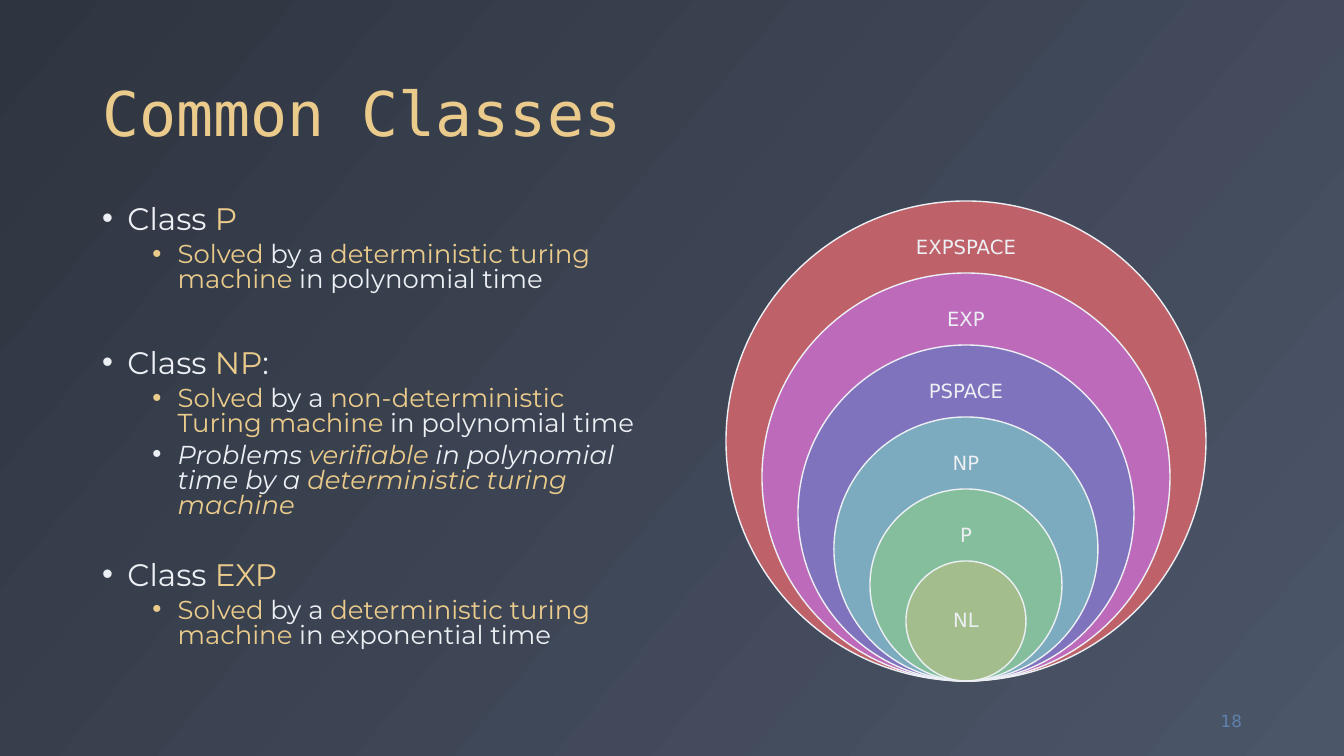
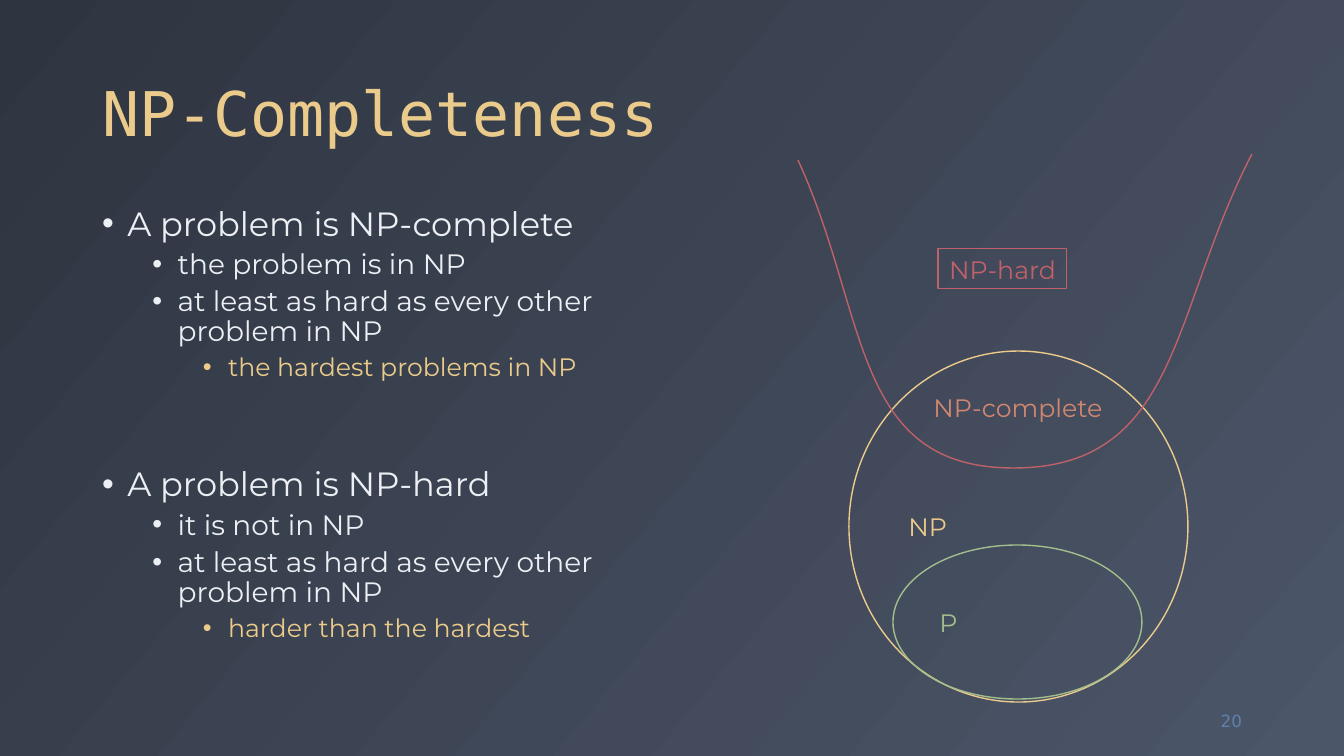
from dataclasses import dataclass
from typing import Optional

from lxml import etree
from pptx import Presentation
from pptx.dml.color import RGBColor
from pptx.enum import shapes, text
from pptx.oxml.ns import qn
from pptx.util import Emu, Pt

PX = 914400 / 100.8

NIGHT = RGBColor(0x2E, 0x34, 0x40)
SLATE = RGBColor(0x4C, 0x56, 0x69)
SNOW = RGBColor(0xEC, 0xEF, 0xF3)
YELLOW = RGBColor(0xEB, 0xCB, 0x8B)
RED = RGBColor(0xBF, 0x61, 0x69)
MAGENTA = RGBColor(0xBE, 0x6A, 0xBB)
VIOLET = RGBColor(0x7F, 0x73, 0xBE)
CYAN = RGBColor(0x7C, 0xAA, 0xBE)
MINT = RGBColor(0x84, 0xBE, 0x9C)
GREEN = RGBColor(0xA3, 0xBE, 0x8C)
ORANGE = RGBColor(0xD0, 0x87, 0x70)
BLUE = RGBColor(0x5E, 0x81, 0xAC)

SANS = "DejaVu Sans"
MONO = "DejaVu Sans Mono"
BODY = "Montserrat"

LEFT, CENTER, RIGHT = (text.PP_ALIGN.LEFT, text.PP_ALIGN.CENTER,
                       text.PP_ALIGN.RIGHT)
TOP, MIDDLE, BOTTOM = (text.MSO_ANCHOR.TOP, text.MSO_ANCHOR.MIDDLE,
                       text.MSO_ANCHOR.BOTTOM)


@dataclass(frozen=True)
class Box:
    """A rectangle in pixels."""
    left: int
    top: int
    width: int
    height: int

    def emu(self) -> tuple:
        """Return the four lengths in EMU."""
        return tuple(px(v) for v in
                     (self.left, self.top, self.width, self.height))


@dataclass(frozen=True)
class Point:
    """A bullet; words between asterisks are highlighted."""
    words: str
    level: int = 0
    before: Optional[float] = None
    italic: bool = False


@dataclass(frozen=True)
class Ring:
    """One complexity class in the nested circles."""
    label: str
    color: RGBColor
    label_width: int


@dataclass(frozen=True)
class Region:
    """An outlined, labelled area of the NP diagram."""
    label: str
    color: RGBColor
    box: Box


TITLE_BOX = Box(92, 18, 1159, 137)
BODY_BOX = Box(92, 202, 572, 480)
NUMBER_BOX = Box(1168, 701, 84, 40)

CLASS_POINTS = [
    Point("Class *P*"),
    Point("*Solved* by a *deterministic turing machine* in polynomial time", 1),
    Point("Class *NP*:", before=41),
    Point("*Solved* by a *non-deterministic Turing machine* in polynomial time",
          1),
    Point("Problems *verifiable* in polynomial time by a "
          "*deterministic turing machine*", 1, italic=True),
    Point("Class *EXP*", before=31),
    Point("*Solved* by a *deterministic turing machine* in exponential time", 1),
]
AS_HARD = Point("at least as hard as every other problem in NP", 1)
COMPLETENESS_POINTS = [
    Point("A problem is NP-complete"),
    Point("the problem is in NP", 1),
    AS_HARD,
    Point("*the hardest problems in NP*", 2),
    Point("A problem is NP-hard", before=61),
    Point("it is not in NP", 1),
    AS_HARD,
    Point("*harder than the hardest*", 2),
]

RINGS = [
    Ring("EXPSPACE", RED, 180),
    Ring("EXP", MAGENTA, 176),
    Ring("PSPACE", VIOLET, 174),
    Ring("NP", CYAN, 142),
    Ring("P", MINT, 124),
    Ring("NL", GREEN, 84),
]
RING_CENTER, RING_BOTTOM = 966, 681
RING_OUTER, RING_STEP = 480, 72

REGIONS = [
    Region("NP", YELLOW, Box(849, 351, 339, 351)),
    Region("P", GREEN, Box(893, 545, 249, 154)),
]
HARD_START = (798, 160)
HARD_CURVE = [(869, 314), (851, 469), (1015, 468),
              (1180, 467), (1171, 310), (1252, 154)]


def px(length: float) -> Emu:
    """Turn pixels into EMU."""
    return Emu(round(length * PX))


def style(paragraph, font: str, size: float, color: RGBColor,
          align=LEFT, spacing: float = 1.0) -> None:
    """Give a paragraph its font, alignment and line spacing."""
    paragraph.font.name = font
    paragraph.font.size = Pt(size)
    paragraph.font.color.rgb = color
    paragraph.alignment = align
    paragraph.line_spacing = spacing


def place(shape, box: Box) -> None:
    """Move a placeholder to a box."""
    shape.left, shape.top, shape.width, shape.height = box.emu()


def outline(shape, color: RGBColor, width: float = 1,
            fill: Optional[RGBColor] = None) -> None:
    """Set line and fill, without shadow."""
    shape.shadow.inherit = False
    shape.line.color.rgb = color
    shape.line.width = Pt(width)
    if fill is None:
        shape.fill.background()
    else:
        shape.fill.solid()
        shape.fill.fore_color.rgb = fill


def write(shape, words: str, font: str, size: float, color: RGBColor,
          align=LEFT, anchor=MIDDLE, spacing: float = 1.0,
          wrap: bool = True) -> None:
    """Put one styled line of text in a shape."""
    frame = shape.text_frame
    frame.text = words
    frame.word_wrap = wrap
    frame.auto_size = (text.MSO_AUTO_SIZE.NONE if wrap
                       else text.MSO_AUTO_SIZE.SHAPE_TO_FIT_TEXT)
    frame.vertical_anchor = anchor
    style(frame.paragraphs[0], font, size, color, align, spacing)


def add_bullet(paragraph, level: int, color: RGBColor) -> None:
    """Give a paragraph a hanging round bullet."""
    properties = paragraph._p.get_or_add_pPr()
    properties.set("marL", str(228600 + 457200 * level))
    properties.set("indent", "-228600")
    tint = etree.SubElement(properties, qn("a:buClr"))
    etree.SubElement(tint, qn("a:srgbClr"), val=str(color))
    etree.SubElement(properties, qn("a:buFont"), typeface="Arial")
    etree.SubElement(properties, qn("a:buChar"), char="\u2022")


def add_points(body, points: list, sizes: list, spacing: float) -> None:
    """Fill the body placeholder with a bullet list."""
    place(body, BODY_BOX)
    frame = body.text_frame
    frame.auto_size = text.MSO_AUTO_SIZE.NONE
    frame.word_wrap = True
    frame.vertical_anchor = TOP
    for index, point in enumerate(points):
        paragraph = frame.add_paragraph() if index else frame.paragraphs[0]
        pieces = [(words, YELLOW if odd % 2 else SNOW)
                  for odd, words in enumerate(point.words.split("*")) if words]
        main = pieces[0][1]
        paragraph.level = point.level
        add_bullet(paragraph, point.level, main)
        style(paragraph, BODY, sizes[point.level], main, spacing=spacing)
        paragraph.font.italic = point.italic
        usual = 5 if point.level else 10
        paragraph.space_before = Pt(point.before or usual)
        paragraph.space_after = Pt(0)
        for words, color in pieces:
            run = paragraph.add_run()
            run.text = words
            if color != main:
                run.font.color.rgb = color


def add_page(prs, title: str, number: int, points: list, sizes: list,
             spacing: float):
    """Add a slide with title, bullet list and slide number."""
    slide = prs.slides.add_slide(prs.slide_layouts[1])
    heading, body = slide.placeholders
    place(heading, TITLE_BOX)
    write(heading, title, MONO, 44, YELLOW, anchor=BOTTOM, spacing=0.9)
    add_points(body, points, sizes, spacing)
    page = slide.shapes.add_textbox(*NUMBER_BOX.emu())
    write(page, str(number), SANS, 12, BLUE, RIGHT)
    return slide


def add_rings(slide) -> None:
    """Draw the circles that touch at the bottom, with their labels."""
    for index, ring in enumerate(RINGS):
        size = RING_OUTER - RING_STEP * index
        top = RING_BOTTOM - size
        circle = slide.shapes.add_shape(
            shapes.MSO_SHAPE.OVAL,
            *Box(RING_CENTER - size // 2, top, size, size).emu())
        outline(circle, SNOW, fill=ring.color)
        innermost = index == len(RINGS) - 1
        middle = top + (size // 2 if innermost else 47)
        label = slide.shapes.add_textbox(
            *Box(RING_CENTER - ring.label_width // 2, middle - 24,
                 ring.label_width, 48).emu())
        write(label, ring.label, SANS, 14, SNOW, CENTER, spacing=0.9)


def add_curve(slide, start: tuple, controls: list, color: RGBColor) -> None:
    """Draw an open Bezier curve; each three points make one segment."""
    builder = slide.shapes.build_freeform(*start, scale=PX)
    builder.add_line_segments(controls, close=False)
    curve = builder.convert_to_shape()
    outline(curve, color)
    steps = list(curve._element.iter(qn("a:lnTo")))
    parent = steps[0].getparent()
    for first in range(0, len(steps), 3):
        bezier = etree.SubElement(parent, qn("a:cubicBezTo"))
        for step in steps[first:first + 3]:
            bezier.append(step[0])
            parent.remove(step)


def add_np_diagram(slide) -> None:
    """Draw P inside NP, crossed by the NP-hard curve."""
    for region in REGIONS:
        oval = slide.shapes.add_shape(shapes.MSO_SHAPE.OVAL, *region.box.emu())
        outline(oval, region.color)
        write(oval, region.label, BODY, 18, region.color)
    add_curve(slide, HARD_START, HARD_CURVE, RED)
    complete = slide.shapes.add_textbox(*Box(922, 387, 192, 40).emu())
    write(complete, "NP-complete", BODY, 18, ORANGE, CENTER, TOP, wrap=False)
    hard = slide.shapes.add_shape(shapes.MSO_SHAPE.RECTANGLE,
                                  *Box(938, 249, 129, 40).emu())
    outline(hard, RED, 0.75)
    write(hard, "NP-hard", BODY, 18, RED, CENTER, TOP, wrap=False)


def set_background(master) -> None:
    """Give all slides the diagonal dark gradient."""
    fill = master.background.fill
    fill.gradient()
    fill.gradient_angle = 320
    for stop, color in zip(fill.gradient_stops, (NIGHT, SLATE)):
        stop.color.rgb = color


def main() -> None:
    """Build both slides and save them."""
    prs = Presentation()
    prs.slide_width, prs.slide_height = px(1344), px(756)
    set_background(prs.slide_master)
    add_rings(add_page(prs, "Common Classes", 18, CLASS_POINTS,
                       [22.2, 18.5], 0.8))
    add_np_diagram(add_page(prs, "NP-Completeness", 20, COMPLETENESS_POINTS,
                            [24, 20, 18], 0.9))
    prs.save("out.pptx")


main()
